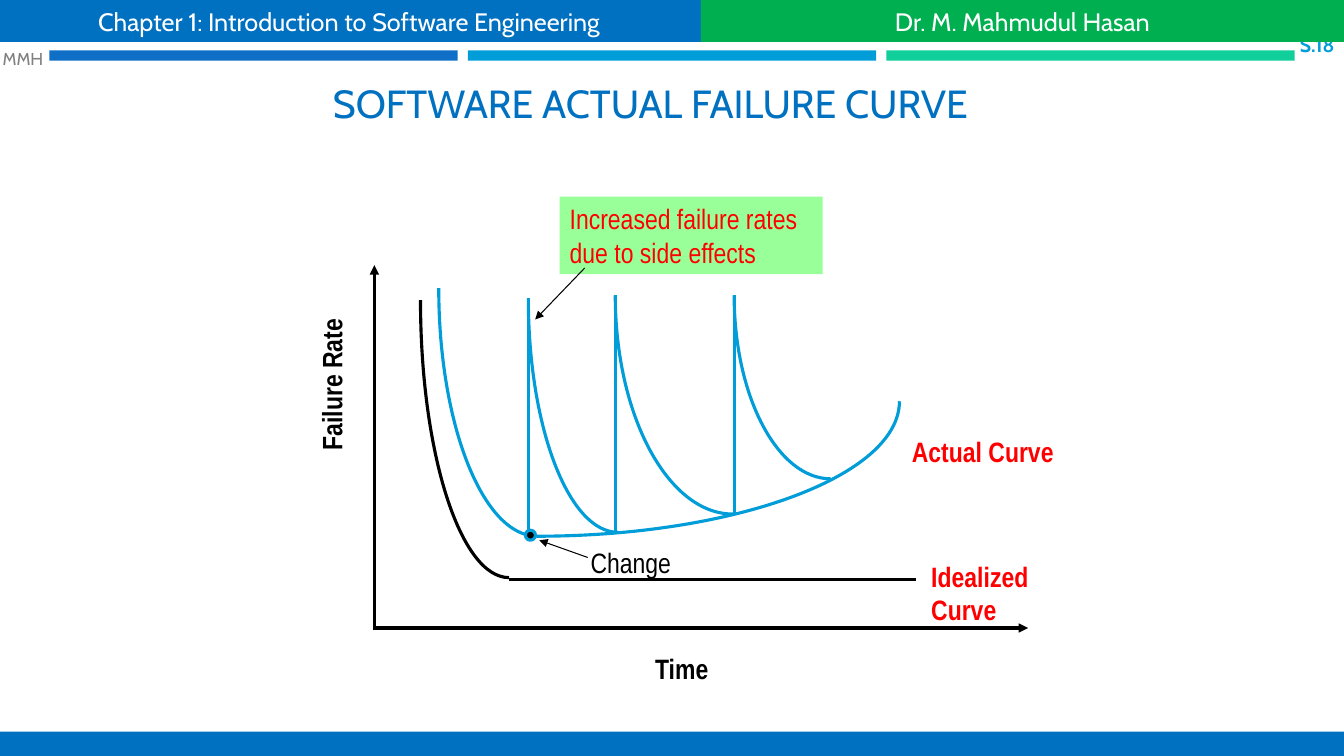
from dataclasses import dataclass

import pptx
import pptx.dml.color
import pptx.enum.shapes
import pptx.enum.text
import pptx.oxml
import pptx.oxml.ns
import pptx.util

Pt = pptx.util.Pt
RGBColor = pptx.dml.color.RGBColor
Align = pptx.enum.text.PP_ALIGN
Anchor = pptx.enum.text.MSO_ANCHOR
Shape = pptx.enum.shapes.MSO_SHAPE

BLACK = RGBColor(0, 0, 0)
WHITE = RGBColor(0xFF, 0xFF, 0xFF)
GRAY = RGBColor(0x80, 0x80, 0x80)
RED = RGBColor(0xFF, 0, 0)
BLUE = RGBColor(0x00, 0x70, 0xC0)
GREEN = RGBColor(0x00, 0xB0, 0x50)
PALE_GREEN = RGBColor(0x99, 0xFF, 0x99)
ROYAL = RGBColor(0x0F, 0x6F, 0xC6)
CYAN = RGBColor(0x00, 0x9D, 0xD9)
MINT = RGBColor(0x10, 0xCF, 0x9B)

HEADING_FONT = "Cabin"
CHART_FONT = "Arial Narrow"
DRAWING = pptx.oxml.ns.nsdecls("a")
ARC_PULL = 0.55  # handle length that bends a cubic into a quarter ellipse
Point = tuple[float, float]
Box = tuple[float, float, float, float]


@dataclass
class TextStyle:
    color: RGBColor
    size: float = 20
    font: str = CHART_FONT
    bold: bool = False
    align: Align = Align.LEFT
    anchor: Anchor = Anchor.TOP
    inset: float = 7.2


@dataclass
class Label:
    text: str
    box: Box
    style: TextStyle
    rotation: float = 0


@dataclass
class Curve:
    foot: Point
    tip: Point
    color: RGBColor = CYAN


@dataclass
class Segment:
    start: Point
    end: Point
    color: RGBColor = BLACK
    width: float = 2.25
    arrow: bool = False


presentation = pptx.Presentation()
presentation.slide_width, presentation.slide_height = Pt(960), Pt(540)
slide = presentation.slides.add_slide(presentation.slide_layouts[5])


def place(lengths: tuple[float, ...]) -> list[int]:
    return [Pt(length) for length in lengths]


def write(frame, lines: list[str], style: TextStyle) -> None:
    frame.word_wrap = True
    frame.auto_size = pptx.enum.text.MSO_AUTO_SIZE.NONE
    frame.vertical_anchor = style.anchor
    frame.margin_left = frame.margin_right = Pt(style.inset)
    frame.margin_top = frame.margin_bottom = Pt(3.6)
    for index, line in enumerate(lines):
        paragraph = frame.add_paragraph() if index else frame.paragraphs[0]
        paragraph.alignment = style.align
        run = paragraph.add_run()
        run.text = line
        run.font.name, run.font.size = style.font, Pt(style.size)
        run.font.bold, run.font.color.rgb = style.bold, style.color


def add_filled(kind: Shape, box: Box, fill: RGBColor):
    shape = slide.shapes.add_shape(kind, *place(box))
    shape.shadow.inherit = False
    shape.fill.solid()
    shape.fill.fore_color.rgb = fill
    shape.line.fill.background()
    return shape


def add_label(label: Label) -> None:
    textbox = slide.shapes.add_textbox(*place(label.box))
    textbox.rotation = label.rotation
    write(textbox.text_frame, [label.text], label.style)


def add_segment(segment: Segment) -> None:
    connector = slide.shapes.add_connector(
        pptx.enum.shapes.MSO_CONNECTOR.STRAIGHT, *place(segment.start + segment.end))
    connector.line.color.rgb = segment.color
    connector.line.width = Pt(segment.width)
    properties = connector._element.spPr
    if segment.arrow:
        outline = properties.find(pptx.oxml.ns.qn("a:ln"))
        outline.append(pptx.oxml.parse_xml(f'<a:tailEnd {DRAWING} type="triangle"/>'))
    properties.append(pptx.oxml.parse_xml(f"<a:effectLst {DRAWING}/>"))


def add_curve(curve: Curve) -> None:
    """Draw a quarter ellipse, level at its foot and upright at its tip."""
    (foot_x, foot_y), (tip_x, tip_y) = curve.foot, curve.tip
    foot_handle = (foot_x + (tip_x - foot_x) * ARC_PULL, foot_y)
    tip_handle = (tip_x, tip_y + (foot_y - tip_y) * ARC_PULL)
    builder = slide.shapes.build_freeform(*place(curve.foot))
    builder.add_line_segments(
        [tuple(place(point)) for point in (foot_handle, tip_handle, curve.tip)], close=False)
    arc = builder.convert_to_shape()
    arc.shadow.inherit = False
    arc.fill.background()
    arc.line.color.rgb, arc.line.width = curve.color, Pt(2.25)
    # Join the three points into one cubic segment
    outline = next(arc._element.iter(pptx.oxml.ns.qn("a:path")))
    cubic = pptx.oxml.parse_xml(f"<a:cubicBezTo {DRAWING}/>")
    for straight in outline.findall(pptx.oxml.ns.qn("a:lnTo")):
        cubic.append(straight[0])
        outline.remove(straight)
    outline.append(cubic)


# Three stripes below the header
for column, stripe_color in enumerate((ROYAL, CYAN, MINT)):
    add_filled(Shape.RECTANGLE, (35.3 + column * 298.9, 36, 291.6, 7.4), stripe_color)

# Title
title = slide.shapes.title
title.left, title.top, title.width, title.height = place((30.2, 42, 868.6, 51.8))
write(title.text_frame, ["SOFTWARE ACTUAL FAILURE CURVE"],
      TextStyle(BLUE, 28, HEADING_FONT, align=Align.CENTER, anchor=Anchor.BOTTOM))

# Axes
add_segment(Segment((267.4, 450), (267.4, 189.4), arrow=True))
add_segment(Segment((267.4, 448.6), (734.4, 448.6), arrow=True))

# Idealized curve, then the actual curve with its repeated spikes
CURVES = [
    Curve((363.6, 412.6), (300.4, 214.4), BLACK),
    Curve((383.6, 383), (313.4, 205.9)),
    Curve((383.4, 383), (642.5, 286.6)),
    Curve((441.4, 380.2), (377.4, 213.1)),
    Curve((523.4, 367.2), (439.5, 211)),
    Curve((593.3, 342), (524.4, 211)),
]
for failure_curve in CURVES:
    add_curve(failure_curve)
add_segment(Segment((363.6, 414), (654.5, 414)))
for spike, change_y in zip(CURVES[3:], (382.3, 380.2, 367.9)):
    add_segment(Segment((spike.tip[0], change_y), spike.tip, CYAN))

# Change point and side-effect callout
change_point = add_filled(Shape.OVAL, (375.3, 378.7, 7.2, 7.2), BLACK)
change_point.line.color.rgb, change_point.line.width = CYAN, Pt(2.25)
side_effects = add_filled(Shape.RECTANGLE, (399.8, 140.4, 187.9, 55.4), PALE_GREEN)
write(side_effects.text_frame, ["Increased failure rates", "due to side effects"],
      TextStyle(RED))
add_segment(Segment((419.8, 398.2), (385.2, 385.9), width=0.75, arrow=True))
add_segment(Segment((417.6, 191.5), (382.3, 228.2), width=0.75, arrow=True))

# Chart labels and corner marks
axis_style = TextStyle(BLACK, bold=True)
curve_style = TextStyle(RED, bold=True)
LABELS = [
    Label("Failure Rate", (179, 259.2, 115, 31),
          TextStyle(BLACK, bold=True, align=Align.CENTER), 270),
    Label("Time", (460.8, 461.5, 54, 26), axis_style),
    Label("Idealized Curve", (658.1, 396, 120, 26), curve_style),
    Label("Actual Curve", (644.2, 306.7, 118, 26), curve_style),
    Label("Change", (414.7, 385.9, 74, 26), TextStyle(BLACK)),
    Label("MMH", (1.8, 31, 36, 21.6),
          TextStyle(GRAY, 12.3, HEADING_FONT, anchor=Anchor.MIDDLE, inset=0)),
    Label("S.18", (915, 20, 38.2, 24),
          TextStyle(CYAN, 14, HEADING_FONT, True, Align.RIGHT, Anchor.MIDDLE, 0)),
]
for chart_label in LABELS:
    add_label(chart_label)

# Footer and header bands
add_filled(Shape.RECTANGLE, (0, 522.5, 960, 17.5), BLUE)
header_style = TextStyle(WHITE, 18, HEADING_FONT, align=Align.CENTER, anchor=Anchor.MIDDLE)
for heading, left, width, band_color in (
    ("Chapter 1: Introduction to Software Engineering ", 0, 502.6, BLUE),
    ("Dr. M. Mahmudul Hasan", 500.6, 459.4, GREEN),
):
    band = add_filled(Shape.RECTANGLE, (left, 0, width, 30), band_color)
    write(band.text_frame, [heading], header_style)

presentation.save("out.pptx")
